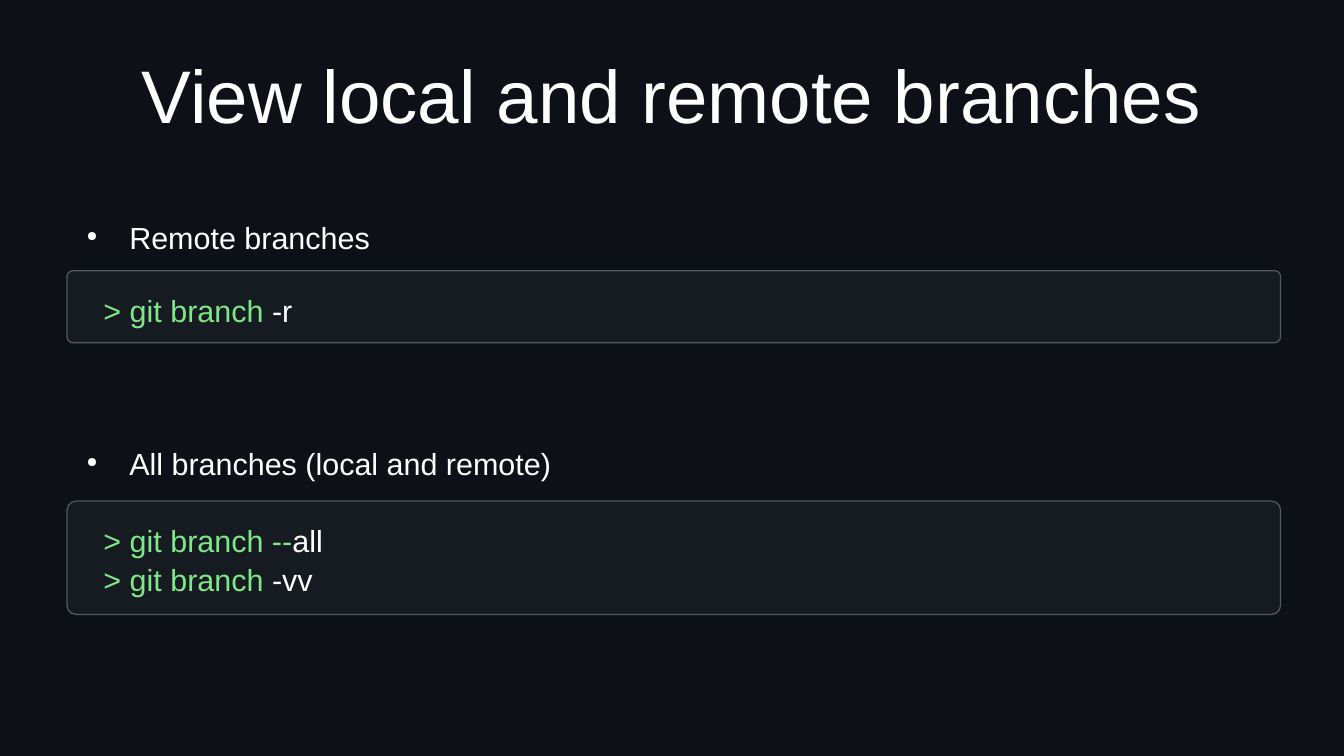
from lxml import etree
from pptx import Presentation
from pptx import util as u
from pptx.dml import color
from pptx.enum import shapes, text
from pptx.oxml import ns

WHITE = "FFFFFF"
GREEN = "7EE787"


def rgb(value):
    return color.RGBColor.from_string(value)


def add_run(paragraph, content, *, size=18, fill=WHITE, font="Arial"):
    run = paragraph.add_run()
    run.text = content
    run.font.size = u.Pt(size)
    run.font.name = font
    run.font.color.rgb = rgb(fill)


def add_bullet(paragraph, *, indent=0.47, hanging=0.35, percent=45):
    props = paragraph._p.get_or_add_pPr()
    props.set("marL", str(u.Inches(indent)))
    props.set("indent", str(-u.Inches(hanging)))
    bullet_color = etree.SubElement(props, ns.qn("a:buClr"))
    etree.SubElement(bullet_color, ns.qn("a:srgbClr"), val=WHITE)
    etree.SubElement(props, ns.qn("a:buSzPct"), val=str(percent * 1000))
    etree.SubElement(props, ns.qn("a:buChar"), char="●")


class BranchSlide:
    background = "0D1117"
    panel_fill = "161B22"
    panel_line = "535960"
    panel_left, panel_width = 0.55, 9.95
    code_left, code_width = 0.75, 9.75
    heading_width = 9.92

    def __init__(self, deck):
        self.slide = deck.slides.add_slide(deck.slide_layouts[6])
        fill = self.slide.background.fill
        fill.solid()
        fill.fore_color.rgb = rgb(self.background)

    def frame(self, left, top, width, height, *, inset=(0, 0),
              anchor=text.MSO_ANCHOR.MIDDLE):
        box = self.slide.shapes.add_textbox(
            *map(u.Inches, (left, top, width, height)))
        frame = box.text_frame
        frame.word_wrap = True
        frame.vertical_anchor = anchor
        frame.margin_left = frame.margin_right = u.Inches(inset[0])
        frame.margin_top = frame.margin_bottom = u.Inches(inset[1])
        return frame

    def title(self, content):
        heading = self.frame(0.55, 0.25, self.heading_width, 1.04).paragraphs[0]
        heading.alignment = text.PP_ALIGN.CENTER
        add_run(heading, content, size=44)

    def bullet(self, content, top):
        topic = self.frame(0.59, top, self.heading_width, 0.34).paragraphs[0]
        add_bullet(topic)
        add_run(topic, content)

    def panel(self, top, height):
        panel = self.slide.shapes.add_shape(
            shapes.MSO_SHAPE.ROUNDED_RECTANGLE,
            *map(u.Inches, (self.panel_left, top, self.panel_width, height)))
        panel.adjustments[0] = 0.08
        panel.shadow.inherit = False
        panel.fill.solid()
        panel.fill.fore_color.rgb = rgb(self.panel_fill)
        panel.line.color.rgb = rgb(self.panel_line)
        panel.line.width = u.Pt(0)

    def code(self, commands, top):
        frame = self.frame(self.code_left, top, self.code_width, 0.66,
                           inset=(0.1, 0.05), anchor=text.MSO_ANCHOR.TOP)
        for index, (command, option) in enumerate(commands):
            line = frame.add_paragraph() if index else frame.paragraphs[0]
            line.line_spacing = 1.05
            add_run(line, command, fill=GREEN)
            add_run(line, option)


def main():
    deck = Presentation()
    deck.slide_width = u.Inches(11.02)
    deck.slide_height = u.Inches(6.2)

    branches = BranchSlide(deck)
    branches.title("View local and remote branches")

    branches.bullet("Remote branches", 1.78)
    branches.panel(2.22, 0.59)
    branches.code([("> git branch ", "-r")], 2.33)

    branches.bullet("All branches (local and remote)", 3.63)
    branches.panel(4.11, 0.93)
    branches.code([("> git branch --", "all"), ("> git branch ", "-vv")], 4.22)

    deck.save("out.pptx")


if __name__ == "__main__":
    main()
